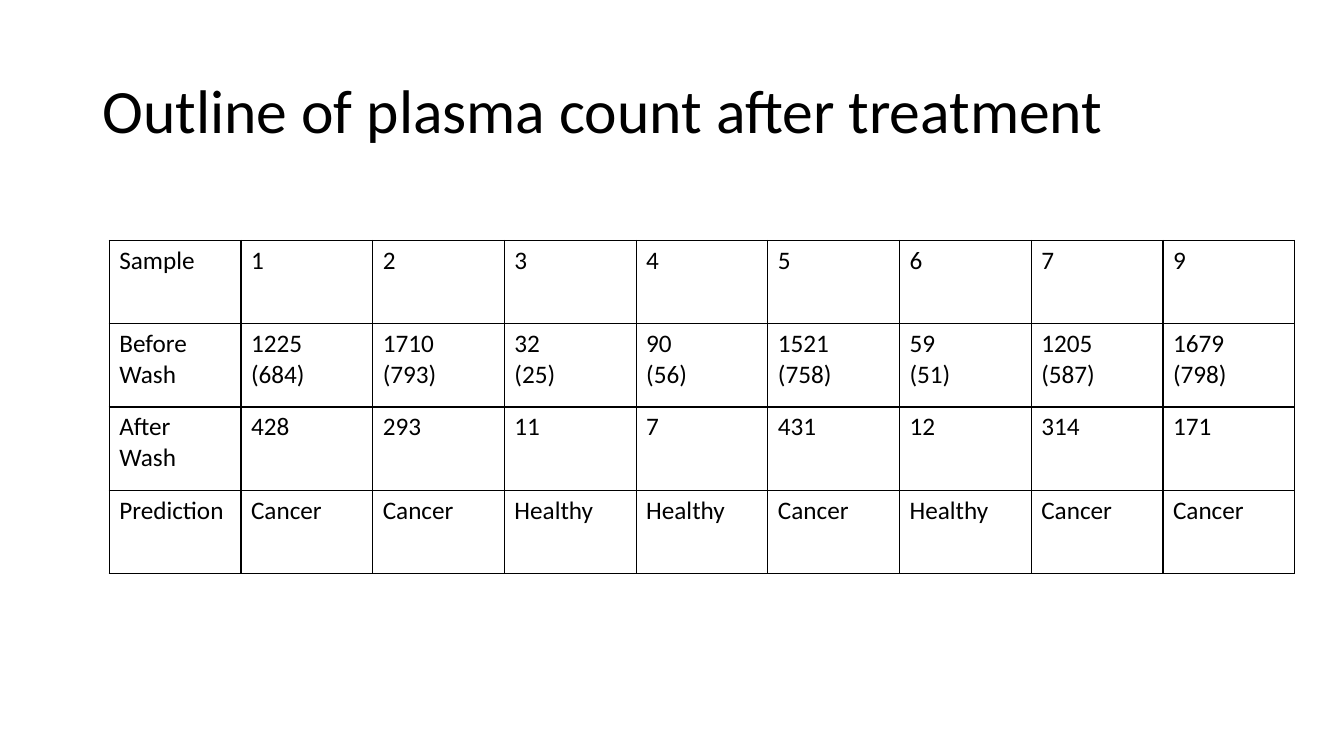
from lxml.etree import SubElement
from pptx import Presentation
from pptx.dml.color import RGBColor
from pptx.enum.text import MSO_ANCHOR as Anchor
from pptx.oxml.ns import qn
from pptx.util import Inches, Pt

BLACK = RGBColor(0x00, 0x00, 0x00)
WHITE = RGBColor(0xFF, 0xFF, 0xFF)

TITLE = "Outline of plasma count after treatment"
PLASMA_COUNTS = [
    ["Sample", "1", "2", "3", "4", "5", "6", "7", "9"],
    ["Before Wash", "1225\n(684)", "1710\n(793)", "32\n(25)", "90\n(56)",
     "1521\n(758)", "59\n(51)", "1205\n(587)", "1679\n(798)"],
    ["After Wash", "428", "293", "11", "7", "431", "12", "314", "171"],
    ["Prediction", "Cancer", "Cancer", "Healthy", "Healthy",
     "Cancer", "Healthy", "Cancer", "Cancer"],
]


class SlideBuilder:
    """Places elements on one slide; boxes are in percent of its size."""

    font_name = "Calibri"
    text_color = BLACK
    border_color = BLACK
    border_width = Pt(1)

    def __init__(self, presentation):
        self.width = presentation.slide_width
        self.height = presentation.slide_height
        self.slide = presentation.slides.add_slide(presentation.slide_layouts[6])
        background = self.slide.background.fill
        background.solid()
        background.fore_color.rgb = WHITE

    def to_lengths(self, box):
        sides = (self.width, self.height, self.width, self.height)
        return [round(share * side / 100) for share, side in zip(box, sides)]

    def fill_text(self, text_frame, text, size, **paragraph_format):
        text_frame.text = text
        font_format = {"name": self.font_name, "size": Pt(size)}
        for paragraph in text_frame.paragraphs:
            for name, value in paragraph_format.items():
                setattr(paragraph, name, value)
            for run in paragraph.runs:
                for name, value in font_format.items():
                    setattr(run.font, name, value)
                run.font.color.rgb = self.text_color

    def add_title(self, box, text, size):
        shape = self.slide.shapes.add_textbox(*self.to_lengths(box))
        frame_format = {"word_wrap": True, "vertical_anchor": Anchor.MIDDLE}
        for name, value in frame_format.items():
            setattr(shape.text_frame, name, value)
        self.fill_text(shape.text_frame, text, size, line_spacing=0.9)

    def add_borders(self, cell):
        properties = cell._tc.get_or_add_tcPr()
        for side in ("a:lnL", "a:lnR", "a:lnT", "a:lnB"):
            line = SubElement(properties, qn(side), w=str(self.border_width))
            fill = SubElement(line, qn("a:solidFill"))
            SubElement(fill, qn("a:srgbClr"), val=str(self.border_color))

    def add_table(self, box, rows, size):
        left, top, width, height = self.to_lengths(box)
        table = self.slide.shapes.add_table(
            len(rows), len(rows[0]), left, top, width, height).table
        for name in ("first_row", "horz_banding"):
            setattr(table, name, False)
        for row, texts in enumerate(rows):
            for column, text in enumerate(texts):
                cell = table.cell(row, column)
                self.fill_text(cell.text_frame, text, size)
                self.add_borders(cell)
                cell.fill.background()


def main():
    presentation = Presentation()
    presentation.slide_width = Inches(13.33)
    presentation.slide_height = Inches(7.5)
    builder = SlideBuilder(presentation)
    builder.add_title((6.9, 5.33, 86.25, 19.33), TITLE, 44)
    builder.add_table((8.13, 31.8, 88.2, 44.07), PLASMA_COUNTS, 18)
    presentation.save("out.pptx")


if __name__ == "__main__":
    main()
